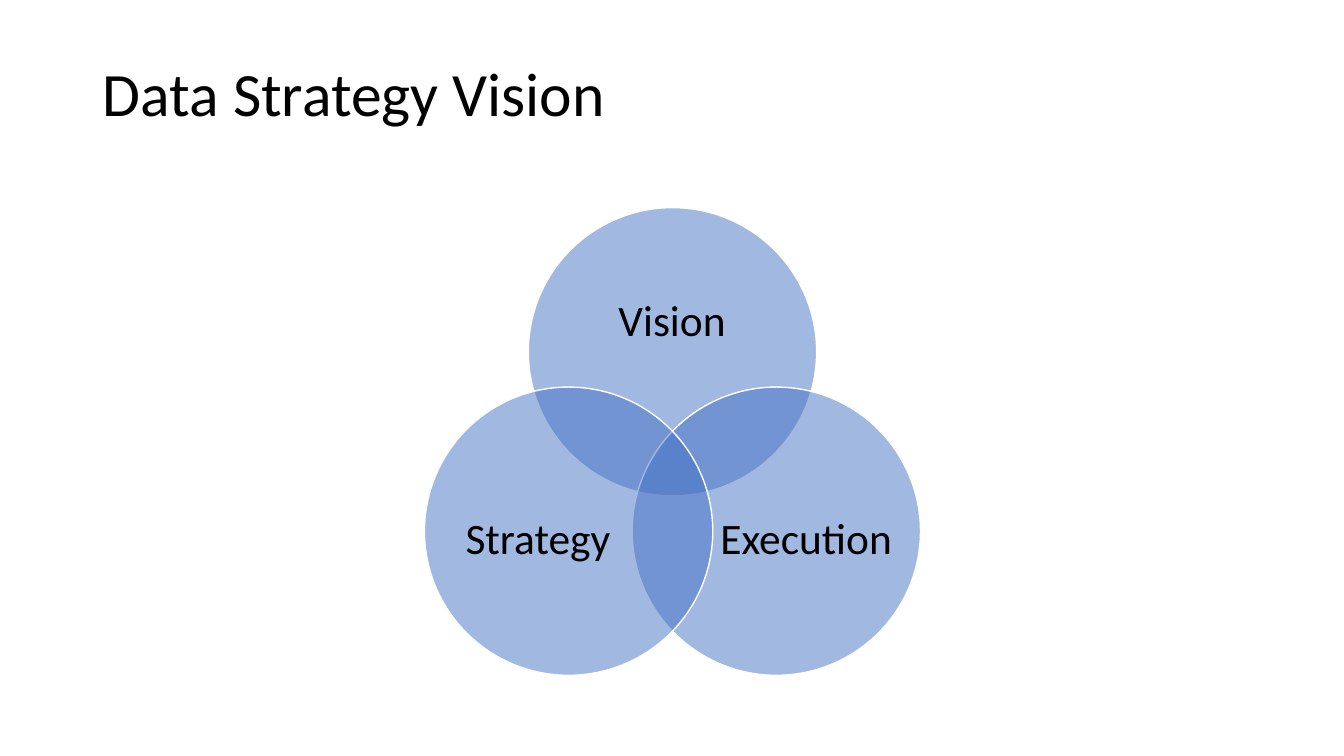
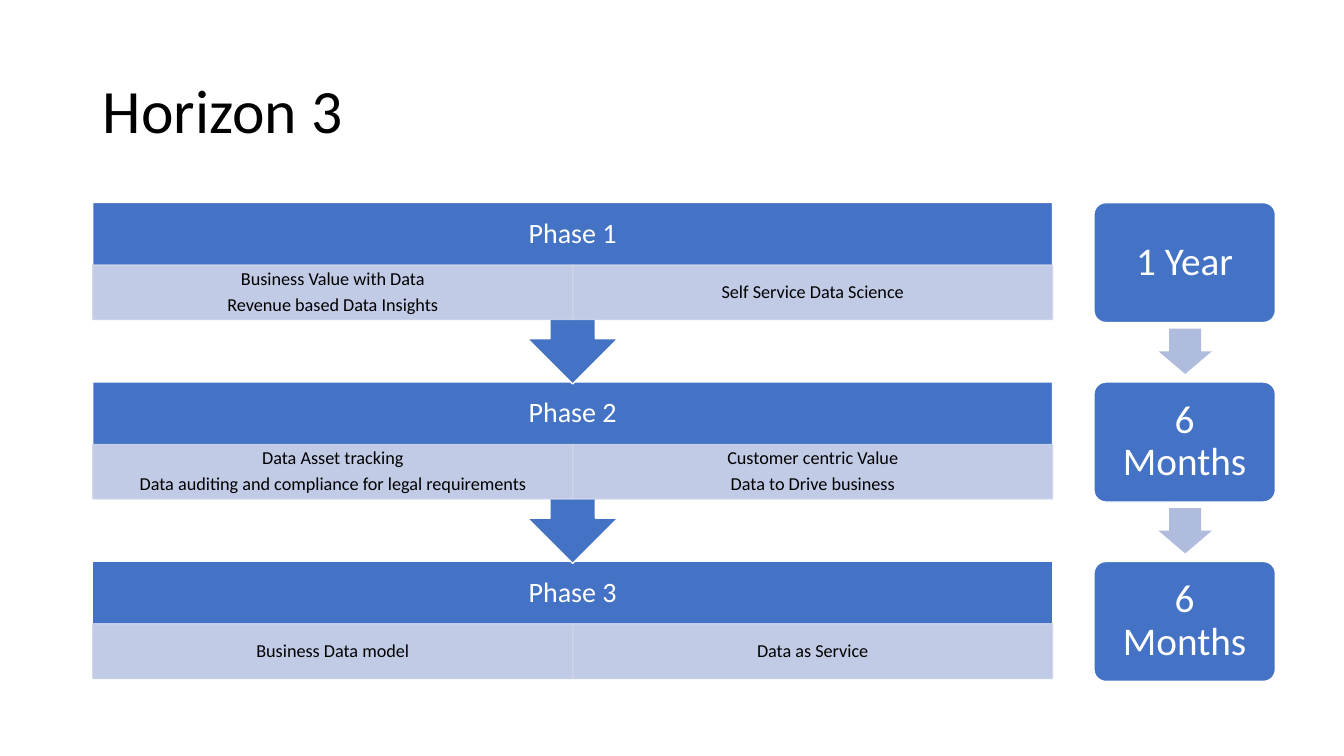
from pptx import Presentation
from pptx import util as u
from pptx.dml.color import RGBColor
from pptx.enum import shapes, text
from pptx.oxml.ns import qn
from lxml import etree

BLUE, PALE, SOFT = "4472C4", "CFD5EA", "B0BCDE"
WHITE, BLACK = "FFFFFF", "000000"
KIND = shapes.MSO_SHAPE


def paint(fill, color, alpha=100):
    """Apply a solid hex colour and its opacity in percent."""
    fill.solid()
    fill.fore_color.rgb = RGBColor.from_string(color)
    if alpha < 100:
        node = fill._xPr.find(qn("a:solidFill"))[0]
        etree.SubElement(node, qn("a:alpha"), val=str(alpha * 1000))


def write(frame, lines, size=13, color=BLACK, align="CENTER", inset=(0, 0), after=0.35):
    """Fill a text frame with evenly formatted paragraphs."""
    frame.word_wrap = True
    frame.auto_size = text.MSO_AUTO_SIZE.NONE
    frame.vertical_anchor = text.MSO_ANCHOR.MIDDLE
    frame.margin_left = frame.margin_right = u.Inches(inset[0])
    frame.margin_top = frame.margin_bottom = u.Inches(inset[1])
    frame.text = "\n".join(lines)
    for par in frame.paragraphs:
        par.alignment = text.PP_ALIGN[align]
        par.line_spacing = 0.9
        par.space_before = u.Pt(0)
        par.space_after = u.Pt(round(size * after, 1))
        par.font.size = u.Pt(size)
        par.font.name = "Calibri"
        par.font.color.rgb = RGBColor.from_string(color)


class Deck:
    """Hold the presentation, its style and the current slide."""

    def __init__(self):
        """Start a wide presentation."""
        self.show = Presentation()
        self.show.slide_width = u.Inches(13.33)
        self.show.slide_height = u.Inches(7.5)

    def page(self, title, height):
        """Add a slide with a title of the given height."""
        self.slide = self.show.slides.add_slide(self.show.slide_layouts[5])
        head = self.slide.shapes.title
        head.left, head.top = u.Inches(0.92), u.Inches(0.4)
        head.width, head.height = u.Inches(11.5), u.Inches(height)
        write(head.text_frame, [title], size=44, align="LEFT", inset=(0.1, 0.05), after=0)

    def shape(self, kind, box, fill=BLUE, line=WHITE, alpha=100, edge=100, adjust=()):
        """Add a preset shape without shadow."""
        item = self.slide.shapes.add_shape(kind, *map(u.Inches, box))
        item.shadow.inherit = False
        paint(item.fill, fill, alpha)
        if line:
            item.line.width = u.Pt(1)
            paint(item.line.fill, line, edge)
        else:
            item.line.fill.background()
        for i, value in enumerate(adjust):
            item.adjustments[i] = value
        return item

    def label(self, box, words, **style):
        """Add a text box with one paragraph."""
        item = self.slide.shapes.add_textbox(*map(u.Inches, box))
        write(item.text_frame, [words], **style)

    def circle(self, name, left, top, box):
        """Add a see-through circle and its label."""
        self.shape(KIND.OVAL, (left, top, 2.86, 2.86), alpha=50)
        self.label(box, name, size=31)

    def phase(self, name, top, cells, last):
        """Add a phase band with a row of cells."""
        kind = KIND.RECTANGLE if last else KIND.DOWN_ARROW_CALLOUT
        self.shape(kind, (0.92, top, 9.52, 1.17 if last else 1.8))
        self.label((0.92, top, 9.52, 0.63), name, size=20, color=WHITE, inset=(0.16, 0.16))
        width = 9.52 / len(cells)
        for i, lines in enumerate(cells):
            box = (0.92 + i * width, top + 0.62, width, 0.54)
            cell = self.shape(KIND.RECTANGLE, box, PALE, PALE, alpha=90, edge=90)
            write(cell.text_frame, lines, inset=(0.1, 0.02))

    def span(self, name, top, last):
        """Add a duration box and the arrow to the next one."""
        box = self.shape(KIND.ROUNDED_RECTANGLE, (10.85, top, 1.8, 1.19), adjust=[0.1])
        write(box.text_frame, [name], size=28, color=WHITE, inset=(0.12, 0.12))
        if not last:
            self.shape(KIND.DOWN_ARROW, (11.49, top + 1.25, 0.53, 0.45), SOFT, None,
                       adjust=[0.6, 0.5])


deck = Deck()

deck.page("Data Strategy Vision", 1.12)
deck.circle("Vision", 5.24, 2.06, (5.62, 2.56, 2.09, 1.28))
deck.circle("Execution", 6.27, 3.84, (7.14, 4.58, 1.71, 1.57))
deck.circle("Strategy", 4.21, 3.84, (4.48, 4.58, 1.71, 1.57))

deck.page("Horizon 3", 1.45)
phases = [
    [["Business Value with Data", "Revenue based Data Insights"],
     ["Self Service Data Science"]],
    [["Data Asset tracking", "Data auditing and compliance for legal requirements"],
     ["Customer centric Value", "Data to Drive business"]],
    [["Business Data model"], ["Data as Service"]],
]
spans = ["1 Year", "6 Months", "6 Months"]
tops = [2.01 + 1.78 * i for i in range(3)]
final = len(tops) - 1
for i in reversed(range(3)):
    deck.phase(f"Phase {i + 1}", tops[i], phases[i], i == final)
for i, name in enumerate(spans):
    deck.span(name, tops[i], i == final)

deck.show.save("out.pptx")
